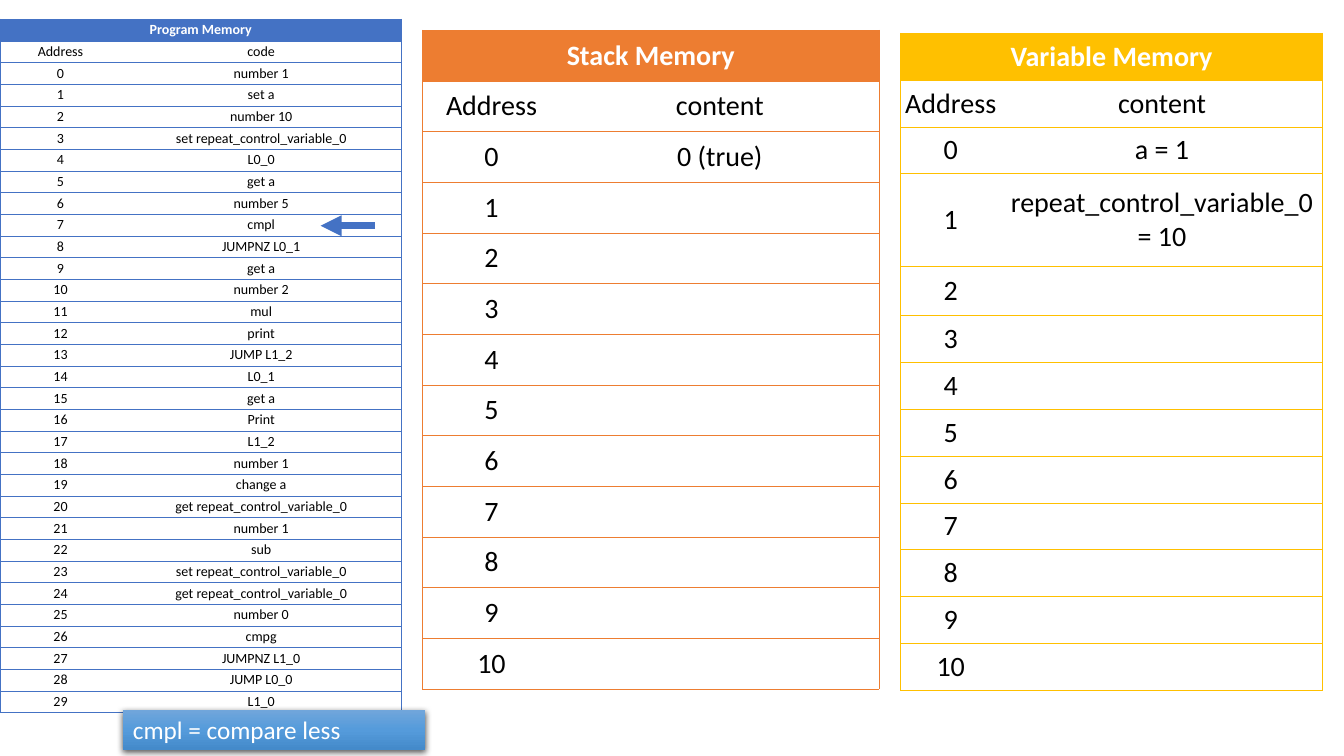
import copy

import lxml.etree
import pptx
import pptx.dml.color
import pptx.enum.shapes
import pptx.enum.text
import pptx.oxml.ns
import pptx.util
from pptx.util import Inches

BLUE = pptx.dml.color.RGBColor(0x44, 0x72, 0xC4)
ORANGE = pptx.dml.color.RGBColor(0xED, 0x7D, 0x31)
GOLD = pptx.dml.color.RGBColor(0xFF, 0xC0, 0x00)
WHITE = pptx.dml.color.RGBColor(0xFF, 0xFF, 0xFF)
BLACK = pptx.dml.color.RGBColor(0x00, 0x00, 0x00)
NOTE_GRADIENT = [
    (0, pptx.dml.color.RGBColor(0x71, 0xA6, 0xDB)),
    (0.5, pptx.dml.color.RGBColor(0x55, 0x9B, 0xDB)),
    (1, pptx.dml.color.RGBColor(0x44, 0x8A, 0xCA)),
]
FONT = "Calibri"

PROGRAM = [
    "number 1", "set a", "number 10", "set repeat_control_variable_0", "L0_0",
    "get a", "number 5", "cmpl", "JUMPNZ L0_1", "get a", "number 2", "mul",
    "print", "JUMP L1_2", "L0_1", "get a", "Print", "L1_2", "number 1",
    "change a", "get repeat_control_variable_0", "number 1", "sub",
    "set repeat_control_variable_0", "get repeat_control_variable_0",
    "number 0", "cmpg", "JUMPNZ L1_0", "JUMP L0_0", "L1_0",
]
STACK = ["0 (true)"] + [""] * 10
VARIABLES = ["a = 1", "repeat_control_variable_0\n= 10"] + [""] * 9


def add_element(parent, tag, **attributes):
    return lxml.etree.SubElement(parent, pptx.oxml.ns.qn(tag), attributes)


def format_runs(paragraph, size, color, bold=False):
    for run in paragraph.runs:
        run.font.name = FONT
        run.font.size = pptx.util.Pt(size)
        run.font.color.rgb = color
        run.font.bold = bold


def set_borders(cell, color, visible_sides):
    properties = cell._tc.get_or_add_tcPr()
    for side in "LRTB":
        line = add_element(properties, f"a:ln{side}", w=str(pptx.util.Pt(0.5)))
        if side in visible_sides:
            fill = add_element(line, "a:solidFill")
            add_element(fill, "a:srgbClr", val=str(color))
        else:
            add_element(line, "a:noFill")


def format_cell(cell, text, size, color, is_header, outer_side):
    cell.margin_left = cell.margin_right = 0
    cell.margin_top = cell.margin_bottom = 0
    cell.vertical_anchor = pptx.enum.text.MSO_ANCHOR.MIDDLE
    set_borders(cell, color, outer_side + "TB")
    if is_header:
        cell.fill.solid()
        cell.fill.fore_color.rgb = color
    else:
        cell.fill.background()
    cell.text_frame.text = text
    for paragraph in cell.text_frame.paragraphs:
        paragraph.alignment = pptx.enum.text.PP_ALIGN.CENTER
        format_runs(paragraph, size, WHITE if is_header else BLACK, is_header)
        if not paragraph.runs:
            add_element(paragraph._p, "a:endParaRPr", sz=str(size * 100))


def add_memory_table(slide, title, content_label, contents, color, size,
                     left, top, column_widths, height, special_heights=None):
    rows = [(title, ""), ("Address", content_label)]
    rows += [(str(address), text) for address, text in enumerate(contents)]
    special_heights = special_heights or {}
    common_height = (height - sum(special_heights.values())) / (
        len(rows) - len(special_heights))
    table = slide.shapes.add_table(
        len(rows), 2, Inches(left), Inches(top),
        Inches(sum(column_widths)), Inches(height)).table
    table.horz_banding = False
    for column, width in zip(table.columns, column_widths):
        column.width = Inches(width)
    for index, texts in enumerate(rows):
        table.rows[index].height = Inches(
            special_heights.get(index, common_height))
        for column, (text, side) in enumerate(zip(texts, "LR")):
            outer_side = "LR" if index == 0 else side
            format_cell(table.cell(index, column), text, size, color,
                        index == 0, outer_side)
    table.cell(0, 0).merge(table.cell(0, 1))


def add_pointer(slide, start_x, end_x, y):
    pointer = slide.shapes.add_connector(
        pptx.enum.shapes.MSO_CONNECTOR.STRAIGHT,
        Inches(start_x), Inches(y), Inches(end_x), Inches(y))
    pointer.line.color.rgb = BLUE
    pointer.line.width = pptx.util.Pt(5)
    add_element(pointer.line._get_or_add_ln(), "a:tailEnd", type="triangle")
    add_element(pointer._element.spPr, "a:effectLst")


def fill_gradient(shape, stops):
    shape.fill.gradient()
    shape.fill.gradient_angle = 270
    stop_list = shape._element.spPr.find(".//" + pptx.oxml.ns.qn("a:gsLst"))
    stop_list.append(copy.deepcopy(stop_list[0]))
    for stop, (position, color) in zip(shape.fill.gradient_stops, stops):
        stop.position = position
        stop.color.rgb = color


def add_shadow(shape):
    shape.shadow.inherit = False
    effects = shape._element.spPr.find(pptx.oxml.ns.qn("a:effectLst"))
    shadow = add_element(
        effects, "a:outerShdw", blurRad=str(pptx.util.Pt(4.5)),
        dist=str(pptx.util.Pt(1.5)), dir="5400000", algn="ctr",
        rotWithShape="0")
    color = add_element(shadow, "a:srgbClr", val=str(BLACK))
    add_element(color, "a:alpha", val="63000")


def add_note(slide, text, left, top, width, height):
    note = slide.shapes.add_shape(
        pptx.enum.shapes.MSO_SHAPE.RECTANGLE,
        Inches(left), Inches(top), Inches(width), Inches(height))
    fill_gradient(note, NOTE_GRADIENT)
    note.line.fill.background()
    add_shadow(note)
    note.text_frame.word_wrap = True
    note.text_frame.text = text
    paragraph = note.text_frame.paragraphs[0]
    paragraph.alignment = pptx.enum.text.PP_ALIGN.LEFT
    format_runs(paragraph, 18, WHITE)


def main():
    presentation = pptx.Presentation()
    presentation.slide_width = Inches(13.33)
    presentation.slide_height = Inches(7.5)
    slide = presentation.slides.add_slide(presentation.slide_layouts[6])
    add_memory_table(slide, "Program Memory", "code", PROGRAM, BLUE, 10,
                     0, 0.19, (1.2, 2.78), 6.89)
    add_memory_table(slide, "Stack Memory", "content", STACK, ORANGE, 20,
                     4.19, 0.3, (1.37, 3.16), 6.54)
    add_memory_table(slide, "Variable Memory", "content", VARIABLES, GOLD, 20,
                     8.93, 0.33, (1, 3.19), 6.52, {3: 0.92, 4: 0.49})
    add_pointer(slide, 3.72, 3.18, 2.24)
    add_note(slide, "cmpl = compare less", 1.22, 7.04, 3, 0.4)
    presentation.save("out.pptx")


if __name__ == "__main__":
    main()
